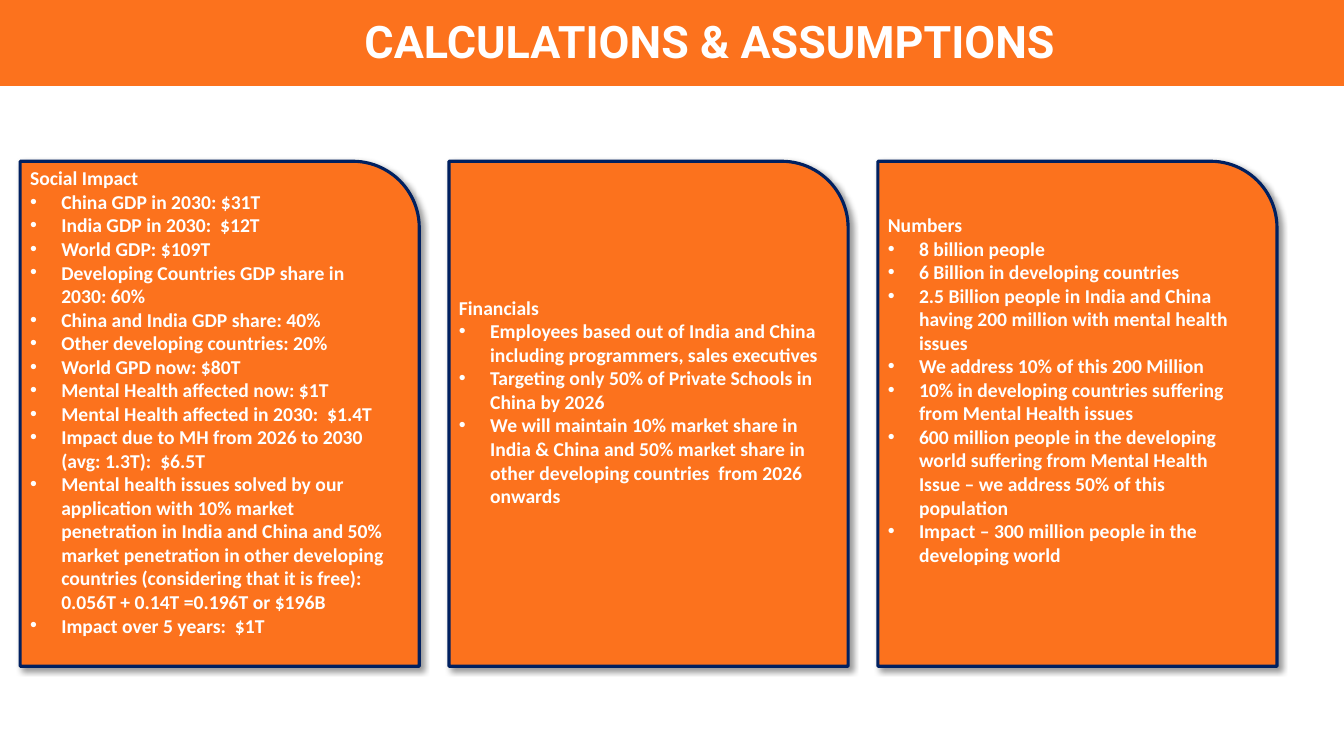
"""Build the slide of sums and assumptions."""
import dataclasses

import lxml.etree
import pptx
import pptx.dml.color
import pptx.enum.shapes
import pptx.enum.text
import pptx.oxml
import pptx.oxml.ns
import pptx.util

ORANGE = pptx.dml.color.RGBColor(0xFC, 0x72, 0x1D)
NAVY = pptx.dml.color.RGBColor(0x00, 0x20, 0x60)
WHITE = pptx.dml.color.RGBColor(0xFF, 0xFF, 0xFF)
WIDE, HIGH = pptx.util.Inches(13.33), pptx.util.Inches(7.5)
LEFT, PITCH = 1.5, 31.91
LINE = 0.24
INDENT = pptx.util.Inches(0.31)
SHADOW = (
    f'<a:effectLst {pptx.oxml.ns.nsdecls("a")}>'
    '<a:outerShdw blurRad="50800" dist="38100" dir="2700000" algn="tl" rotWithShape="0">'
    '<a:srgbClr val="000000"><a:alpha val="40000"/></a:srgbClr>'
    '</a:outerShdw></a:effectLst>'
)


@dataclasses.dataclass(frozen=True)
class Card:
    """A headed list, with the lines left free below it."""
    head: str
    points: tuple[str, ...]
    free: int = 1


CARDS = (
    Card("Social Impact", (
        "China GDP in 2030: $31T",
        "India GDP in 2030:  $12T",
        "World GDP: $109T",
        "Developing Countries GDP share in 2030: 60%",
        "China and India GDP share: 40%",
        "Other developing countries: 20%",
        "World GPD now: $80T",
        "Mental Health affected now: $1T",
        "Mental Health affected in 2030:  $1.4T",
        "Impact due to MH from 2026 to 2030 (avg: 1.3T):  $6.5T",
        "Mental health issues solved by our application with 10% market "
        "penetration in India and China and 50% market penetration in other "
        "developing countries (considering that it is free): "
        "0.056T + 0.14T =0.196T or $196B",
        "Impact over 5 years:  $1T",
    )),
    Card("Financials", (
        "Employees based out of India and China including programmers, sales executives",
        "Targeting only 50% of Private Schools in China by 2026",
        "We will maintain 10% market share in India & China and 50% market "
        "share in other developing countries  from 2026 onwards",
    )),
    Card("Numbers", (
        "8 billion people",
        "6 Billion in developing countries",
        "2.5 Billion people in India and China having 200 million with mental health issues",
        "We address 10% of this 200 Million",
        "10% in developing countries suffering from Mental Health issues",
        "600 million people in the developing world suffering from Mental "
        "Health Issue – we address 50% of this population",
        "Impact – 300 million people in the developing world",
    ), 2),
)


def place(left: float, top: float, wide: float, high: float) -> tuple[int, int, int, int]:
    """Turn percent of the slide into lengths."""
    return (int(WIDE * left / 100), int(HIGH * top / 100),
            int(WIDE * wide / 100), int(HIGH * high / 100))


def style(para, name: str, size: int, align) -> None:
    """Set the font and alignment of a paragraph."""
    para.alignment = align
    font = para.font
    font.name, font.size, font.bold = name, pptx.util.Pt(size), True
    font.color.rgb = WHITE


def add_panel(slide, kind, box: tuple[int, int, int, int], edge, weight: float):
    """Draw an orange shape with a coloured edge."""
    panel = slide.shapes.add_shape(kind, *box)
    panel.shadow.inherit = False
    panel.fill.solid()
    panel.fill.fore_color.rgb = ORANGE
    panel.line.color.rgb = edge
    panel.line.width = pptx.util.Pt(weight)
    return panel


def add_bullet(para) -> None:
    """Give a paragraph a hanging bullet."""
    props = para._p.get_or_add_pPr()
    props.set("marL", str(INDENT))
    props.set("indent", str(-INDENT))
    for tag, key, value in (("a:buFont", "typeface", "Arial"), ("a:buChar", "char", "•")):
        lxml.etree.SubElement(props, pptx.oxml.ns.qn(tag)).set(key, value)


def add_card(slide, card: Card, col: int) -> None:
    """Draw a card in its column."""
    box = place(LEFT + col * PITCH, 21.33, 29.7, 66.8)
    panel = add_panel(slide, pptx.enum.shapes.MSO_SHAPE.ROUND_1_RECTANGLE, box, NAVY, 2.25)
    props = panel._element.spPr
    props.replace(props.find(pptx.oxml.ns.qn("a:effectLst")), pptx.oxml.parse_xml(SHADOW))
    frame = panel.text_frame
    frame.word_wrap = True
    frame.vertical_anchor = pptx.enum.text.MSO_ANCHOR.MIDDLE
    frame.margin_bottom = pptx.util.Inches(0.05 + card.free * LINE)
    frame.text = "\n".join((card.head, *card.points))
    for row, para in enumerate(frame.paragraphs):
        if row:
            add_bullet(para)
        style(para, "Calibri", 14, pptx.enum.text.PP_ALIGN.LEFT)


def add_title(slide) -> None:
    """Set the title on its bar."""
    bar = place(0, -0.4, 100, 11.73)
    add_panel(slide, pptx.enum.shapes.MSO_SHAPE.RECTANGLE, bar, ORANGE, 1)
    title = slide.shapes.title
    slide.shapes._spTree.append(title._element)
    title.left, title.top, title.width, title.height = place(22.06, 1.2, 61.52, 8.53)
    frame = title.text_frame
    frame.text = "CALCULATIONS & ASSUMPTIONS"
    frame.word_wrap = True
    frame.auto_size = pptx.enum.text.MSO_AUTO_SIZE.NONE
    frame.vertical_anchor = pptx.enum.text.MSO_ANCHOR.TOP
    style(frame.paragraphs[0], "Roboto", 32, pptx.enum.text.PP_ALIGN.CENTER)


def main() -> None:
    """Build and save the deck."""
    deck = pptx.Presentation()
    deck.slide_width, deck.slide_height = WIDE, HIGH
    slide = deck.slides.add_slide(deck.slide_layouts.get_by_name("Title Only"))
    add_title(slide)
    for col, card in enumerate(CARDS):
        add_card(slide, card, col)
    deck.save("out.pptx")


if __name__ == "__main__":
    main()
